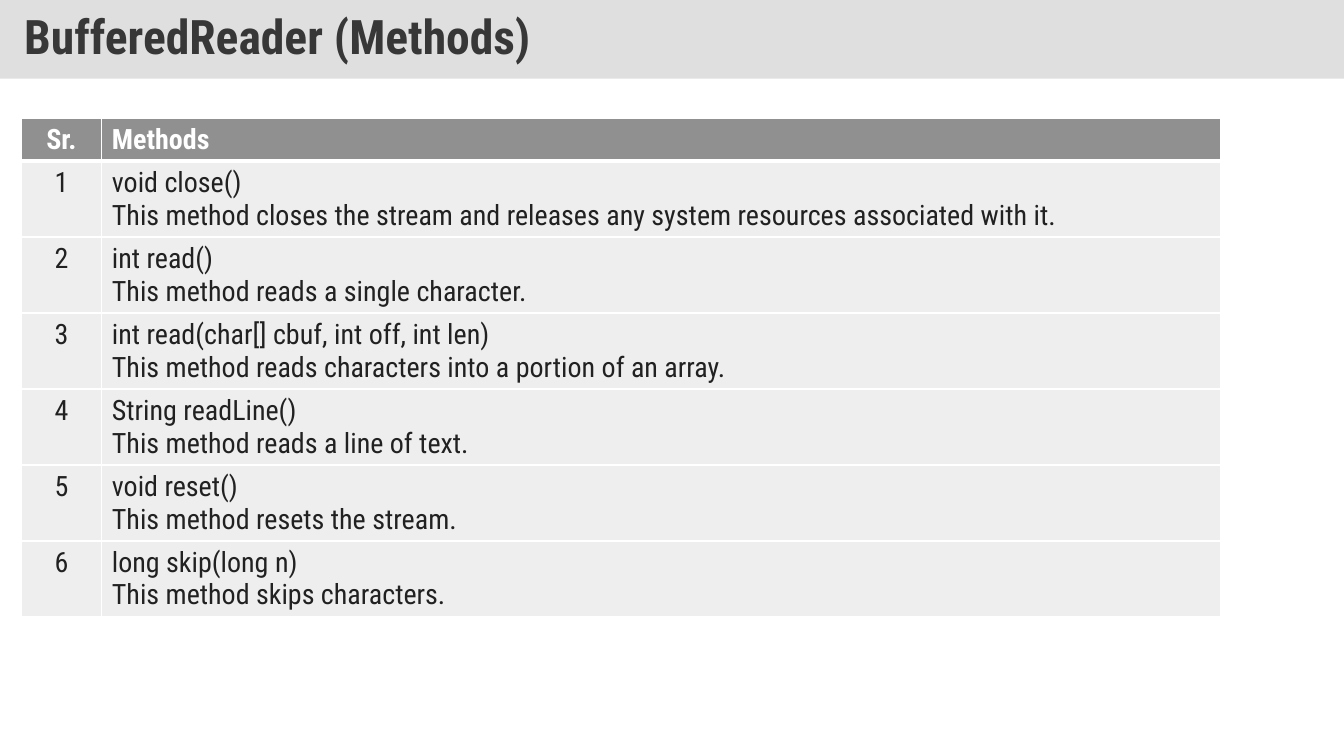
from lxml import etree
from pptx import Presentation
from pptx.dml.color import RGBColor
from pptx.enum import text
from pptx.oxml import ns
from pptx.util import Inches, Pt

FONT = "Roboto Condensed"
WHITE = RGBColor(0xFF, 0xFF, 0xFF)
SILVER = RGBColor(0xC0, 0xC0, 0xC0)
GREY = RGBColor(0x90, 0x90, 0x90)
PALE = RGBColor(0xEE, 0xEE, 0xEE)
DARK = RGBColor(0x37, 0x37, 0x37)
INK = RGBColor(0x21, 0x21, 0x21)

HEAD = 0.41
BODY = 0.75
METHODS = [
    ("void close()", "This method closes the stream and releases any system "
                     "resources associated with it."),
    ("int read()", "This method reads a single character."),
    ("int read(char[] cbuf, int off, int len)",
     "This method reads characters into a portion of an array."),
    ("String readLine()", "This method reads a line of text."),
    ("void reset()", "This method resets the stream."),
    ("long skip(long n)", "This method skips characters."),
]


def style(para, size, color, bold, align):
    para.alignment = align
    font = para.font
    font.name, font.size, font.bold = FONT, Pt(size), bold
    font.color.rgb = color


def add_title(slide, words, left, top, width, height):
    title = slide.shapes.title
    title.left, title.top = Inches(left), Inches(top)
    title.width, title.height = Inches(width), Inches(height)
    title.fill.solid()
    title.fill.fore_color.rgb = SILVER
    color = title.fill._xPr.find(".//" + ns.qn("a:srgbClr"))
    etree.SubElement(color, ns.qn("a:alpha"), val="50000")

    frame = title.text_frame
    frame.text = words
    frame.auto_size = text.MSO_AUTO_SIZE.NONE
    frame.word_wrap = True
    frame.vertical_anchor = text.MSO_ANCHOR.MIDDLE
    frame.margin_left = frame.margin_right = Inches(0.24)
    frame.margin_top = frame.margin_bottom = Inches(0.12)
    para = frame.paragraphs[0]
    para.line_spacing = 0.9
    style(para, 34, DARK, True, text.PP_ALIGN.LEFT)


def add_edges(cell, base):
    """Draw white cell borders, the bottom one base points wide."""
    props = cell._tc.get_or_add_tcPr()
    for side, width in zip("LRTB", (1, 1, 1, base)):
        line = etree.SubElement(props, ns.qn("a:ln" + side), w=str(Pt(width)))
        fill = etree.SubElement(line, ns.qn("a:solidFill"))
        etree.SubElement(fill, ns.qn("a:srgbClr"), val=str(WHITE))


def add_methods(slide, left, top, width):
    rows = [("Sr.", "Methods")]
    rows += [(str(n), "\n".join(m)) for n, m in enumerate(METHODS, 1)]
    height = HEAD + BODY * len(METHODS)
    grid = slide.shapes.add_table(len(rows), 2, Inches(left), Inches(top),
                                  Inches(width), Inches(height)).table
    grid.horz_banding = False
    grid.columns[0].width = Inches(0.8)
    grid.columns[1].width = Inches(width - 0.8)
    for r, row in enumerate(rows):
        head = r == 0
        grid.rows[r].height = Inches(HEAD if head else BODY)
        for c, words in enumerate(row):
            cell = grid.cell(r, c)
            cell.text = words
            add_edges(cell, 3 if head else 1)
            cell.fill.solid()
            cell.fill.fore_color.rgb = GREY if head else PALE
            align = text.PP_ALIGN.LEFT if c else text.PP_ALIGN.CENTER
            for para in cell.text_frame.paragraphs:
                style(para, 20, WHITE if head else INK, head, align)


def main():
    deck = Presentation()
    deck.slide_width, deck.slide_height = Inches(13.33), Inches(7.5)
    slide = deck.slides.add_slide(deck.slide_layouts[5])
    add_title(slide, "BufferedReader (Methods)", 0, 0, 13.33, 0.78)
    add_methods(slide, 0.21, 1.17, 11.9)
    deck.save("out.pptx")


if __name__ == "__main__":
    main()
